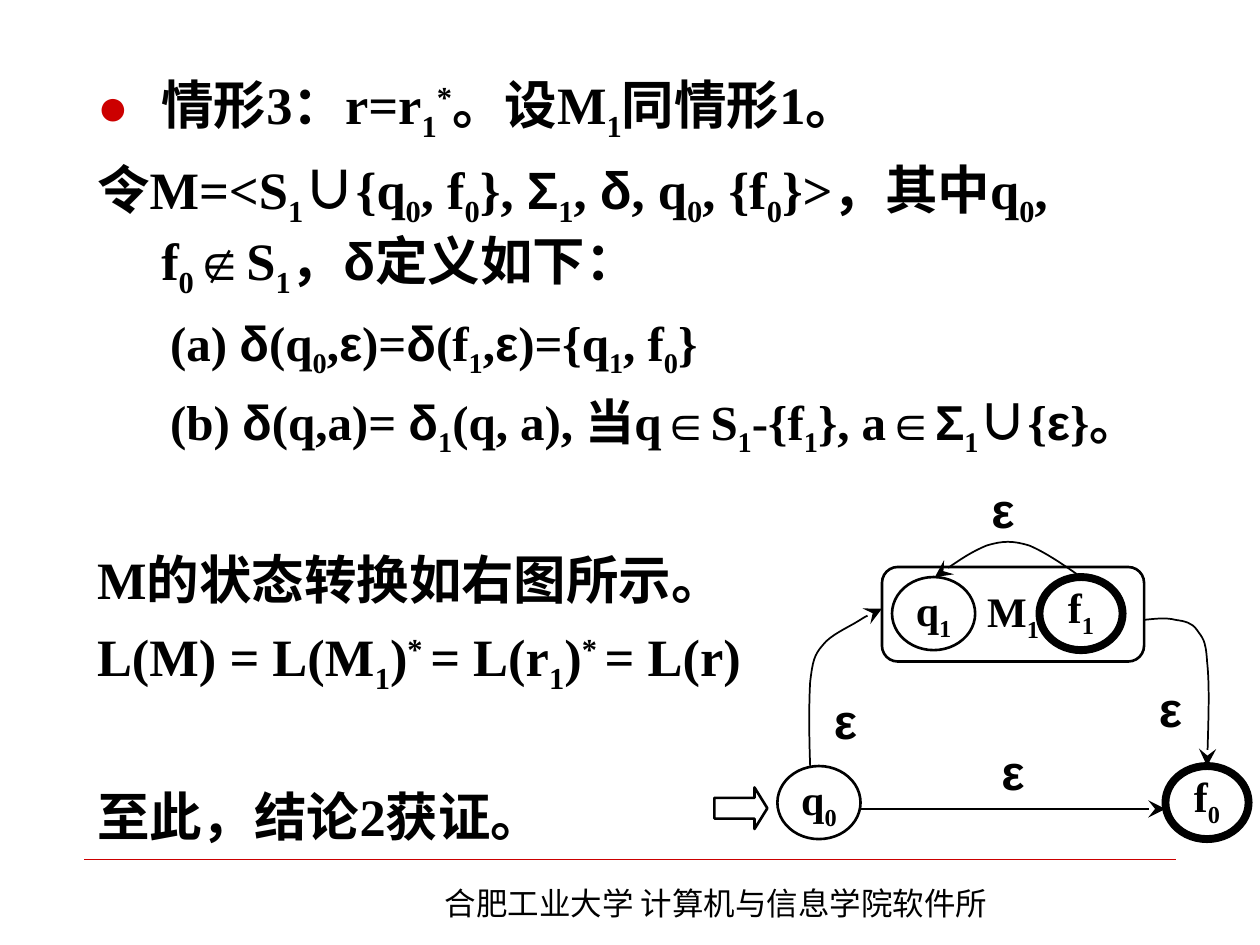
from itertools import groupby

from lxml import etree
from pptx import Presentation, util as u
from pptx.dml.color import RGBColor
from pptx.enum import shapes, text
from pptx.oxml import ns

BLACK = RGBColor(0x00, 0x00, 0x00)
RED = RGBColor(0xCC, 0x00, 0x00)
SERIF, SANS, CJK = "Times New Roman", "Arial", "Noto Sans CJK SC"
SYMBOL_FONTS = {**dict.fromkeys("δεΣ∈∉", SANS), "∪": CJK}
BASELINES = {"_": "-25000", "^": "30000"}


def sub(parent, tag, **attrs):
    return etree.SubElement(parent, ns.qn(tag), attrs)


def parse_markup(markup, font):
    chars = iter(markup)
    for c in chars:
        base = BASELINES.get(c)
        if base:
            c = next(chars)
        yield c, (SYMBOL_FONTS.get(c, font), base)


def write(p, markup, size=24, font=SERIF, bold=True, color=BLACK):
    for (name, base), group in groupby(parse_markup(markup, font), key=lambda t: t[1]):
        r = p.add_run()
        r.text = "".join(c for c, _ in group)
        r.font.size = u.Pt(size)
        r.font.bold = bold
        r.font.name = name
        r.font.color.rgb = color
        rPr = r.font._element
        if base:
            rPr.set("baseline", base)
        if name != SANS:
            sub(rPr, "a:ea", typeface=CJK)


class Diagram:
    def __init__(self, slide, color=BLACK):
        self.slide = slide
        self.color = color

    def outline(self, s, width, color=None, arrow=False):
        s.line.color.rgb = color or self.color
        s.line.width = u.Pt(width)
        if arrow:
            sub(s.element.spPr.find(ns.qn("a:ln")), "a:tailEnd",
                type="stealth", w="lg", len="lg")

    def shape(self, kind, x, y, w, h, label="", width=1.5, inset_top=0.05):
        s = self.slide.shapes.add_shape(kind, *map(u.Inches, (x, y, w, h)))
        s.shadow.inherit = False
        s.fill.background()
        self.outline(s, width)
        if label:
            self.center(s.text_frame, label)
            s.text_frame.margin_top = u.Inches(inset_top)
        return s

    def center(self, tf, label, **fmt):
        tf.word_wrap = False
        tf.vertical_anchor = text.MSO_ANCHOR.MIDDLE
        p = tf.paragraphs[0]
        p.alignment = text.PP_ALIGN.CENTER
        write(p, label, **fmt)

    def state(self, x, y, label, final=False):
        return self.shape(shapes.MSO_SHAPE.OVAL, x, y, 0.66, 0.58, label,
                          width=4.5 if final else 1.5, inset_top=0 if final else 0.05)

    def edge_label(self, x, y, label="ε"):
        s = self.slide.shapes.add_textbox(*map(u.Inches, (x, y, 0.92, 0.58)))
        self.center(s.text_frame, label, size=28)

    def line(self, x1, y1, x2, y2, width=1, color=None, arrow=False):
        s = self.slide.shapes.add_connector(
            shapes.MSO_CONNECTOR.STRAIGHT, *map(u.Inches, (x1, y1, x2, y2)))
        self.outline(s, width, color, arrow)
        sub(s.element.spPr, "a:effectLst")

    def curve(self, *points):
        emu = [(u.Inches(x), u.Inches(y)) for x, y in points]
        builder = self.slide.shapes.build_freeform(*emu[0])
        builder.add_line_segments(emu[1:], close=False)
        s = builder.convert_to_shape()
        outline = next(s.element.iter(ns.qn("a:path")))
        segments = outline.findall(ns.qn("a:lnTo"))
        for i in range(0, len(segments), 3):
            cubic = sub(outline, "a:cubicBezTo")
            for segment in segments[i:i + 3]:
                cubic.append(segment[0])
                outline.remove(segment)
        s.shadow.inherit = False
        s.fill.background()
        self.outline(s, 1, arrow=True)

    def footer(self, x, y, w, h, label):
        s = self.slide.shapes.add_textbox(*map(u.Inches, (x, y, w, h)))
        s.text_frame.word_wrap = True
        write(s.text_frame.paragraphs[0], label, size=18, font=CJK, bold=False)

    def body(self, s, x, y, w, h, paragraphs):
        s.left, s.top, s.width, s.height = map(u.Inches, (x, y, w, h))
        tf = s.text_frame
        tf.word_wrap = True
        tf.auto_size = text.MSO_AUTO_SIZE.NONE
        for i, (markup, level, before) in enumerate(paragraphs):
            p = tf.paragraphs[0] if i == 0 else tf.add_paragraph()
            p.level = level
            left, hanging = ((0.51, 0.51), (1.15, 0.57))[level]
            pPr = p._p.get_or_add_pPr()
            pPr.set("marL", str(u.Inches(left)))
            pPr.set("indent", str(-u.Inches(hanging)))
            if i == 0:
                sub(sub(pPr, "a:buClr"), "a:srgbClr", val=str(RED))
                sub(pPr, "a:buChar", char="●")
            else:
                sub(pPr, "a:buNone")
            p.space_before = u.Pt(before)
            write(p, markup, size=(30, 28)[level])


def main():
    prs = Presentation()
    prs.slide_width, prs.slide_height = u.Inches(10), u.Inches(7.5)
    slide = prs.slides.add_slide(prs.slide_layouts[1])
    title = slide.shapes.title.element
    title.getparent().remove(title)
    d = Diagram(slide)

    d.line(0.67, 6.82, 9.33, 6.82, width=0.25, color=RED)
    d.footer(3.43, 6.97, 4.72, 0.4, "合肥工业大学 计算机与信息学院软件所")
    d.body(slide.placeholders[1], 0.67, 0.52, 9, 6.23, [
        ("情形3：r=r_1^*。设M_1同情形1。", 0, 0),
        ("令M=<S_1∪{q_0, f_0}, Σ_1, δ, q_0, {f_0}>，其中q_0, f_0∉S_1，δ定义如下：", 0, 7.5),
        ("(a) δ(q_0,ε)=δ(f_1,ε)={q_1, f_0}", 1, 7),
        ("(b) δ(q,a)= δ_1(q, a), 当q∈S_1-{f_1}, a∈Σ_1∪{ε}。", 1, 7),
        ("M的状态转换如右图所示。", 0, 51),
        ("L(M) = L(M_1)^*^ = L(r_1)^*^ = L(r)", 0, 7.5),
        ("至此，结论2获证。", 0, 51),
    ])

    d.edge_label(8.83, 5.33)
    start = d.shape(shapes.MSO_SHAPE.RIGHT_ARROW, 5.67, 6.25, 0.42, 0.33)
    start.adjustments[1] = 0.31
    slide.shapes.add_group_shape([
        d.shape(shapes.MSO_SHAPE.ROUNDED_RECTANGLE, 7, 4.5, 2.08, 0.75, "M_1"),
        d.state(7.08, 4.58, "q_1"),
        d.state(8.25, 4.58, "f_1", final=True),
    ])
    d.state(6.17, 6.08, "q_0")
    d.state(9.25, 6.08, "f_0", final=True)

    d.edge_label(6.25, 5.42)
    d.curve((8.58, 4.58), (8.44, 4.48), (8.29, 4.38), (8.17, 4.33),
            (8.04, 4.29), (7.96, 4.29), (7.83, 4.33),
            (7.71, 4.38), (7.56, 4.48), (7.42, 4.58))
    d.edge_label(7.5, 3.75)
    d.curve((6.43, 6.08), (6.42, 5.83), (6.42, 5.57), (6.43, 5.41),
            (6.45, 5.25), (6.46, 5.2), (6.53, 5.12),
            (6.59, 5.04), (6.73, 4.98), (6.81, 4.93),
            (6.89, 4.88), (6.94, 4.86), (7, 4.83))
    d.curve((9.08, 4.92), (9.17, 4.91), (9.26, 4.9), (9.33, 4.92),
            (9.4, 4.93), (9.46, 4.94), (9.5, 5),
            (9.54, 5.06), (9.57, 5.07), (9.58, 5.25),
            (9.6, 5.43), (9.59, 5.76), (9.58, 6.08))
    d.edge_label(7.58, 5.83)
    d.line(6.83, 6.42, 9.25, 6.42, arrow=True)

    prs.save("out.pptx")


if __name__ == "__main__":
    main()
